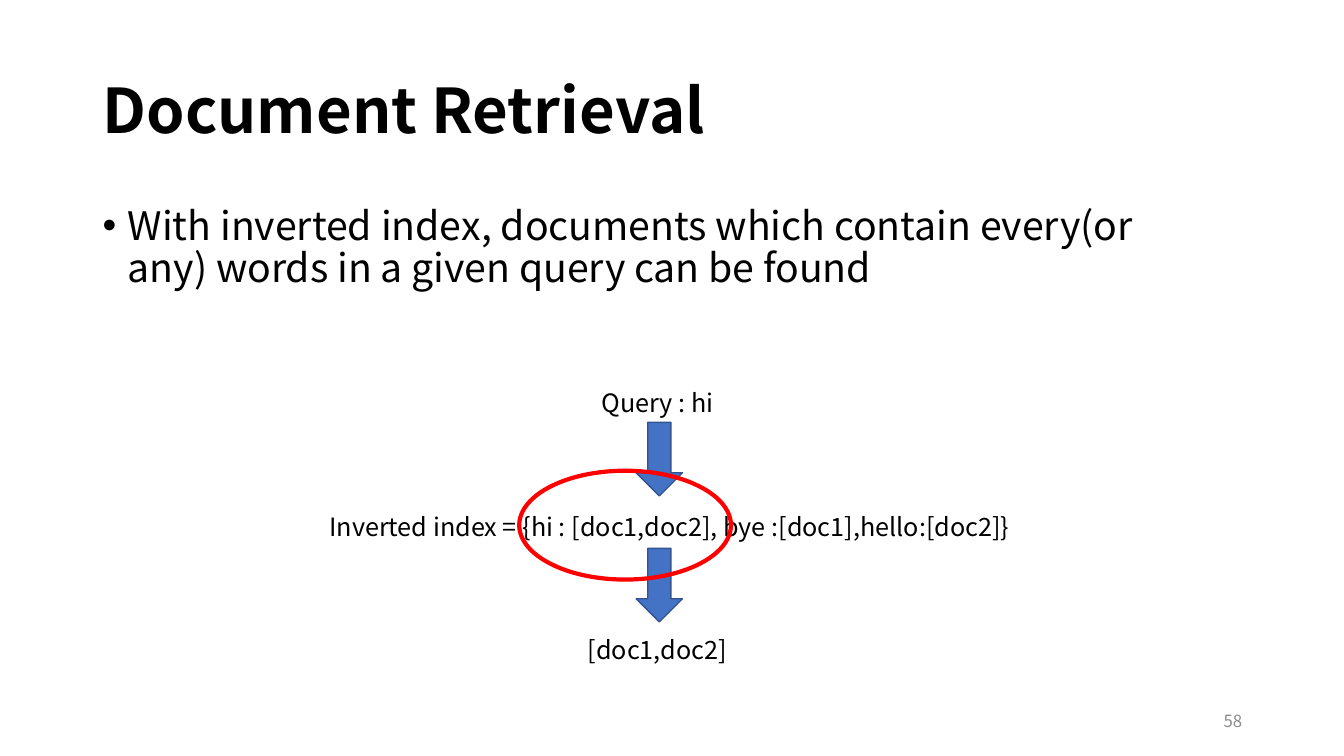
from lxml.etree import SubElement
from pptx import Presentation
from pptx.dml.color import RGBColor
from pptx.enum.shapes import MSO_SHAPE
from pptx.enum.text import MSO_ANCHOR, PP_ALIGN
from pptx.oxml.ns import qn
from pptx.util import Inches, Pt

FONT = "Noto Sans CJK KR"
COLORS = {
    "text": "000000",
    "page_number": "8C8C8C",
    "arrow": "4472C4",
    "arrow_line": "325491",
    "highlight": "FF0000",
}


def color(name):
    return RGBColor.from_string(COLORS[name])


def add_text(page, text, box, size, tone="text", bold=False,
             align=PP_ALIGN.LEFT, anchor=MSO_ANCHOR.TOP):
    """Place one wrapped paragraph in box and return the paragraph."""
    frame = page.shapes.add_textbox(*map(Inches, box)).text_frame
    frame.word_wrap = True
    frame.vertical_anchor = anchor
    para = frame.paragraphs[0]
    para.text = text
    para.alignment = align
    span = para.runs[0]
    span.font.size = Pt(size)
    span.font.bold = bold
    span.font.color.rgb = color(tone)
    span.font.name = FONT
    properties = span.font._element
    SubElement(properties, qn("a:ea")).set("typeface", FONT)
    return para


def add_outlined(page, kind, box, line, width, fill=None):
    shape = page.shapes.add_shape(kind, *map(Inches, box))
    shape.shadow.inherit = False
    if fill:
        shape.fill.solid()
        shape.fill.fore_color.rgb = color(fill)
    else:
        shape.fill.background()
    shape.line.color.rgb = color(line)
    shape.line.width = Pt(width)


def add_title(page, box):
    para = add_text(page, "Document Retrieval", box, 44, bold=True,
                    anchor=MSO_ANCHOR.MIDDLE)
    para.line_spacing = 0.9


def add_statement(page, box):
    para = add_text(
        page,
        "With inverted index, documents which contain every(or any) words "
        "in a given query can be found",
        box, 28)
    para.line_spacing = 0.9
    para.space_before = Pt(10)
    properties = para._p.get_or_add_pPr()
    properties.set("marL", str(Inches(0.25)))
    properties.set("indent", str(-Inches(0.25)))
    SubElement(properties, qn("a:buFont")).set("typeface", "Arial")
    SubElement(properties, qn("a:buChar")).set("char", "•")


def add_lookup_diagram(page, box):
    """Show the query, the index and the result, joined by two arrows."""
    left, top, width, _ = box
    steps = [
        ("Query : hi", 0, 0, 0.4),
        ("Inverted index = {hi : [doc1,doc2], bye :[doc1],hello:[doc2]}",
         0.12, 1.23, 0.71),
        ("[doc1,doc2]", 0, 2.45, 0.71),
    ]
    for text, shift, drop, height in steps:
        add_text(page, text, (left + shift, top + drop, width, height), 18,
                 align=PP_ALIGN.CENTER)
    for drop in (0.4, 1.65):
        add_outlined(page, MSO_SHAPE.DOWN_ARROW,
                     (left + 3.68, top + drop, 0.46, 0.73),
                     "arrow_line", 1, fill="arrow")
    add_outlined(page, MSO_SHAPE.OVAL, (left + 2.52, top + 0.88, 2.1, 1.08),
                 "highlight", 3)


def add_page_number(page, box):
    add_text(page, "58", box, 12, tone="page_number", align=PP_ALIGN.RIGHT,
             anchor=MSO_ANCHOR.MIDDLE)


def main():
    deck = Presentation()
    deck.slide_width = Inches(13.33)
    deck.slide_height = Inches(7.5)
    page = deck.slides.add_slide(deck.slide_layouts[6])
    add_title(page, (0.92, 0.4, 11.5, 1.45))
    add_statement(page, (0.92, 2, 11.16, 2.53))
    add_lookup_diagram(page, (2.63, 3.79, 7.78, 3.16))
    add_page_number(page, (9.42, 6.95, 3, 0.4))
    deck.save("out.pptx")


if __name__ == "__main__":
    main()
